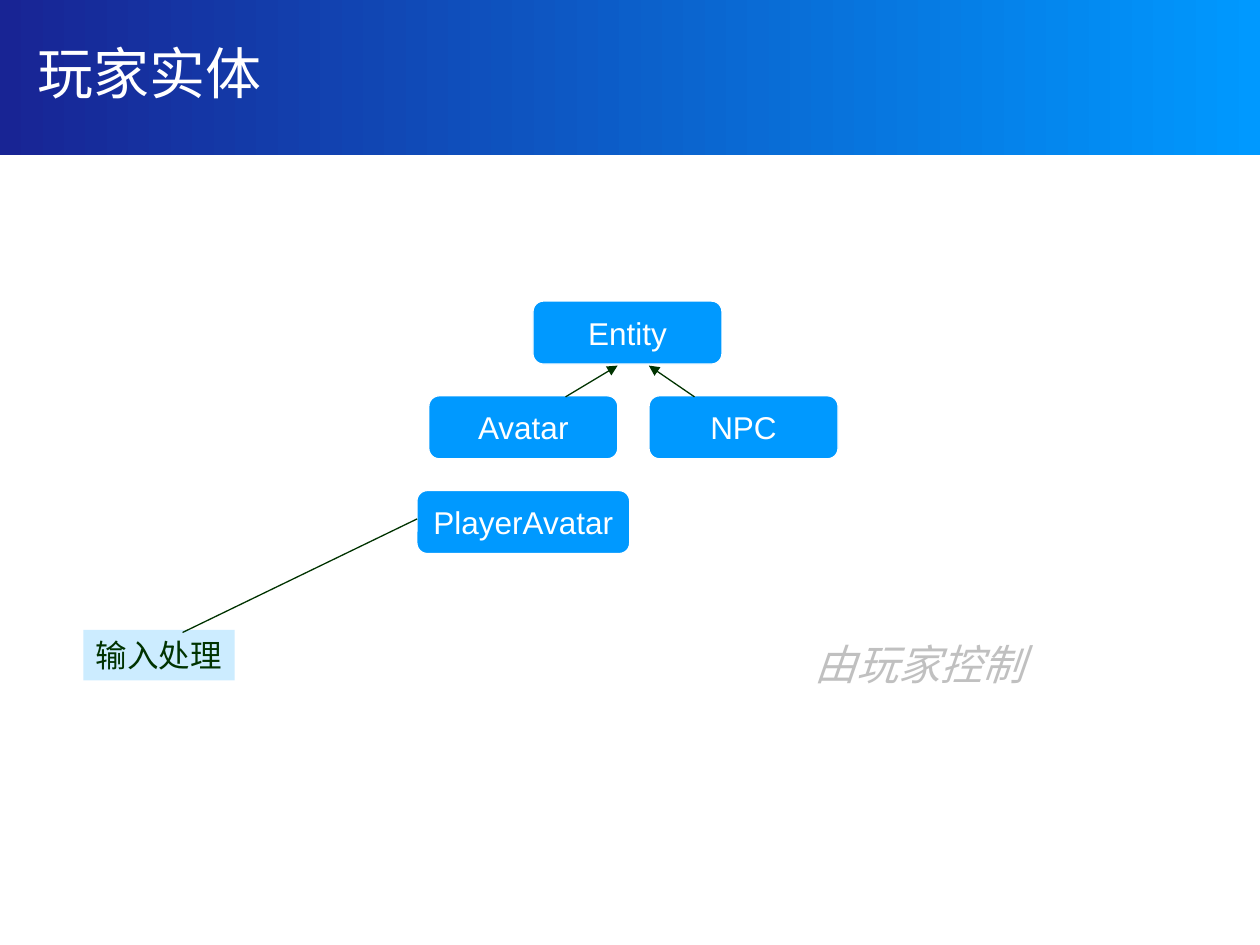
from lxml.etree import SubElement
from pptx import Presentation
from pptx.dml.color import RGBColor
from pptx.enum.shapes import MSO_CONNECTOR, MSO_SHAPE
from pptx.enum.text import MSO_ANCHOR, PP_ALIGN
from pptx.oxml.ns import qn
from pptx.util import Cm, Pt

COLORS = {
    "white": "FFFFFF",
    "navy": "182494",
    "blue": "0099FF",
    "pale": "CCECFF",
    "green": "003300",
    "grey": "C0C0C0",
}
ROW_TOP, ROW_STEP = 6.07, 1.91
CLASS_HEIGHT = 1.27


def color(name):
    return RGBColor.from_string(COLORS[name])


def write(shape, text, size, ink, font="Arial", align=PP_ALIGN.LEFT,
          anchor=MSO_ANCHOR.TOP, wrap=True, italic=None):
    frame = shape.text_frame
    frame.word_wrap = wrap
    frame.vertical_anchor = anchor
    frame.margin_left = frame.margin_right = Cm(0.25)
    frame.margin_top = frame.margin_bottom = Cm(0.13)
    paragraph = frame.paragraphs[0]
    paragraph.alignment = align
    run = paragraph.add_run()
    run.text = text
    run.font.name = font
    run.font.size = Pt(size)
    run.font.italic = italic
    run.font.color.rgb = color(ink)


def add_banner(slide, width, height):
    banner = slide.shapes.add_shape(
        MSO_SHAPE.RECTANGLE, 0, 0, Cm(width), Cm(height))
    banner.shadow.inherit = False
    banner.line.fill.background()
    banner.fill.gradient()
    banner.fill.gradient_angle = 0
    for stop, name in zip(banner.fill.gradient_stops, ("navy", "blue")):
        stop.color.rgb = color(name)


def add_label(slide, text, left, top, width, height, size, ink, **style):
    label = slide.shapes.add_textbox(
        Cm(left), Cm(top), Cm(width), Cm(height))
    write(label, text, size, ink, **style)
    return label


def add_class(slide, name, center, row, width=3.81):
    box = slide.shapes.add_shape(
        MSO_SHAPE.ROUNDED_RECTANGLE, Cm(center - width / 2),
        Cm(ROW_TOP + row * ROW_STEP), Cm(width), Cm(CLASS_HEIGHT))
    box.shadow.inherit = False
    box.fill.solid()
    box.fill.fore_color.rgb = color("blue")
    box.line.color.rgb = color("white")
    box.line.width = Pt(0.75)
    write(box, name, 18, "white", align=PP_ALIGN.CENTER,
          anchor=MSO_ANCHOR.MIDDLE, wrap=False)


def add_line(slide, start, end, arrow=False):
    line = slide.shapes.add_connector(
        MSO_CONNECTOR.STRAIGHT, *(Cm(value) for value in start + end))
    line.line.color.rgb = color("green")
    line.line.width = Pt(0.75)
    if arrow:
        SubElement(line.line._get_or_add_ln(), qn("a:tailEnd"),
                   type="triangle")
    SubElement(line._element.spPr, qn("a:effectLst"))


def main():
    deck = Presentation()
    deck.slide_width, deck.slide_height = Cm(25.4), Cm(19.05)
    slide = deck.slides.add_slide(deck.slide_layouts[6])

    # Title banner
    add_banner(slide, 25.4, 3.12)
    add_label(slide, "玩家实体", 0.51, 0, 24.31, 2.92, 32, "white",
              font="DejaVu Sans", anchor=MSO_ANCHOR.MIDDLE)

    # Class hierarchy
    add_class(slide, "Entity", 12.65, 0)
    add_class(slide, "Avatar", 10.55, 1)
    add_class(slide, "NPC", 14.99, 1)
    add_class(slide, "PlayerAvatar", 10.55, 2, width=4.29)

    # Input handling attached to the player's avatar
    input_tag = add_label(slide, "输入处理", 1.68, 12.7, 3.05, 1.02,
                          18, "green", wrap=False)
    input_tag.fill.solid()
    input_tag.fill.fore_color.rgb = color("pale")
    add_line(slide, (3.68, 12.75), (8.41, 10.46))

    # Inheritance arrows
    add_line(slide, (11.4, 8), (12.45, 7.37), arrow=True)
    add_line(slide, (14, 8), (13.08, 7.37), arrow=True)

    # Remark
    add_label(slide, "由玩家控制", 16.18, 12.75, 7.26, 1.27,
              24, "grey", italic=True)

    deck.save("out.pptx")


if __name__ == "__main__":
    main()
